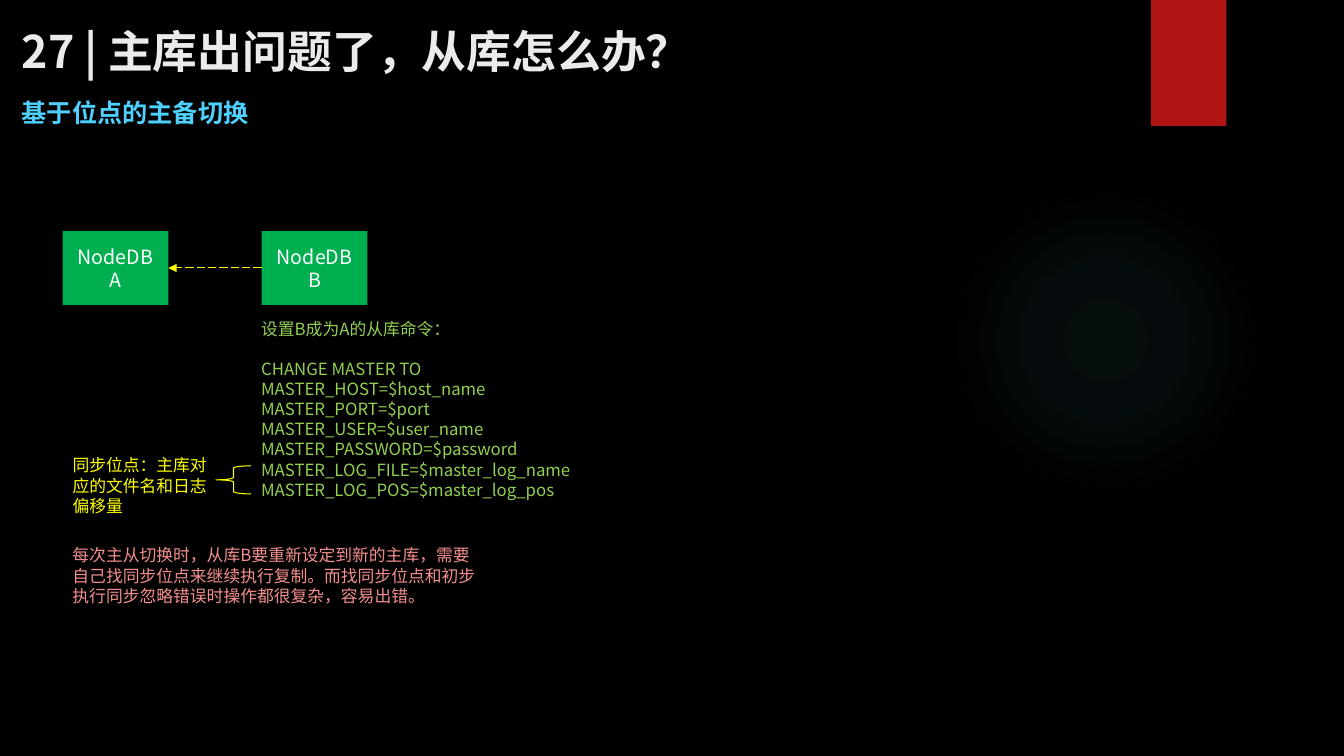
"""Build the slide on switching a replica to a new primary by log position."""
import dataclasses

import pptx
import pptx.dml.color
import pptx.enum.dml
import pptx.enum.shapes
import pptx.enum.text
import pptx.oxml
import pptx.oxml.ns
import pptx.util

SHAPES = pptx.enum.shapes.MSO_SHAPE
ANCHOR = pptx.enum.text.MSO_ANCHOR
ALIGN = pptx.enum.text.PP_ALIGN
COLUMNS, ROWS = 160, 90
SLIDE_WIDTH, SLIDE_HEIGHT = pptx.util.Inches(13.333), pptx.util.Inches(7.5)


@dataclasses.dataclass(frozen=True)
class Theme:
    """Colours, font and type sizes of the slide."""
    background: str = "000000"
    ribbon: str = "B01513"
    glow: str = "50B9C1"
    title: str = "EBEBEB"
    subtitle: str = "4FD1FF"
    server: str = "00B050"
    server_text: str = "FFFFFF"
    command: str = "92D050"
    mark: str = "FFFF00"
    warning: str = "F38F8D"
    font: str = "Noto Sans CJK SC"
    title_size: int = 32
    subtitle_size: int = 18
    server_size: int = 14
    body_size: int = 12
    line_width: float = 0.75


THEME = Theme()


def rgb(code):
    """Return a colour object for a hex code."""
    return pptx.dml.color.RGBColor.from_string(code)


def place(left, top, width, height):
    """Turn grid columns and rows into slide lengths."""
    across, down = SLIDE_WIDTH / COLUMNS, SLIDE_HEIGHT / ROWS
    return [round(n) for n in (left * across, top * down, width * across, height * down)]


def apply(target, values):
    """Set each named value on the target."""
    for name, value in values.items():
        setattr(target, name, value)


def write(box, lines, colour, size, bold=False, align=ALIGN.LEFT, **frame_format):
    """Fill a box with one paragraph per line and return the paragraphs."""
    frame = box.text_frame
    apply(frame, {"word_wrap": True, "vertical_anchor": ANCHOR.TOP, **frame_format})
    for index, line in enumerate(lines):
        para = frame.add_paragraph() if index else frame.paragraphs[0]
        para.alignment = align
        span = para.add_run()
        span.text = line
        span.font.color.rgb = rgb(colour)
        apply(span.font, {"name": THEME.font, "size": pptx.util.Pt(size), "bold": bold})
        east = pptx.oxml.parse_xml(f'<a:ea {pptx.oxml.ns.nsdecls("a")} typeface="{THEME.font}"/>')
        span.font._element.append(east)
    return frame.paragraphs


def add_text(page, area, lines, colour, size, **text_format):
    """Add a text box on the grid."""
    box = page.shapes.add_textbox(*place(*area))
    return write(box, lines, colour, size, **text_format)


def add_block(page, kind, area, fill=None):
    """Add a plain shape without outline or shadow."""
    box = page.shapes.add_shape(kind, *place(*area))
    box.shadow.inherit = False
    box.line.fill.background()
    if fill:
        box.fill.solid()
        box.fill.fore_color.rgb = rgb(fill)
    else:
        box.fill.background()
    return box


def add_glow(page, area, stops):
    """Add a circle that fades out from its centre."""
    box = add_block(page, SHAPES.OVAL, area)
    marks = "".join(
        f'<a:gs pos="{position * 1000}"><a:srgbClr val="{THEME.glow}">'
        f'<a:alpha val="{alpha * 1000}"/></a:srgbClr></a:gs>'
        for position, alpha in stops)
    gradient = pptx.oxml.parse_xml(
        f'<a:gradFill {pptx.oxml.ns.nsdecls("a")}><a:gsLst>{marks}</a:gsLst>'
        '<a:path path="circle"><a:fillToRect l="50000" t="50000" r="50000" b="50000"/>'
        '</a:path></a:gradFill>')
    properties = box._element.spPr
    properties.replace(properties.find(pptx.oxml.ns.qn("a:noFill")), gradient)


def add_server(page, area, label):
    """Add a database server with its name."""
    box = add_block(page, SHAPES.RECTANGLE, area, THEME.server)
    write(box, ["NodeDB", label], THEME.server_text, THEME.server_size,
          align=ALIGN.CENTER, vertical_anchor=ANCHOR.MIDDLE)
    return box


def draw_line(line):
    """Give a line the colour and width of the marks."""
    line.color.rgb = rgb(THEME.mark)
    line.width = pptx.util.Pt(THEME.line_width)


def add_arrow(page, source, target):
    """Join the left side of source to the right side of target."""
    arrow = page.shapes.add_connector(pptx.enum.shapes.MSO_CONNECTOR.STRAIGHT, 0, 0, 0, 0)
    arrow.begin_connect(source, 1)
    arrow.end_connect(target, 3)
    draw_line(arrow.line)
    arrow.line.dash_style = pptx.enum.dml.MSO_LINE.LONG_DASH
    names = pptx.oxml.ns.nsdecls("a")
    arrow.line._get_or_add_ln().append(
        pptx.oxml.parse_xml(f'<a:tailEnd {names} type="triangle"/>'))
    arrow._element.spPr.append(pptx.oxml.parse_xml(f'<a:effectLst {names}/>'))


def main():
    """Build and save the deck."""
    deck = pptx.Presentation()
    apply(deck, {"slide_width": SLIDE_WIDTH, "slide_height": SLIDE_HEIGHT})
    page = deck.slides.add_slide(deck.slide_layouts[6])
    page.background.fill.solid()
    page.background.fill.fore_color.rgb = rgb(THEME.background)

    add_glow(page, (113, 22, 37, 37), [(0, 7), (36, 6), (69, 0)])
    add_block(page, SHAPES.RECTANGLE, (137, 0, 9, 15), THEME.ribbon)
    add_text(page, (1.4, 2, 146.3, 8), ["27 | 主库出问题了，从库怎么办？"], THEME.title,
             THEME.title_size, bold=True, vertical_anchor=ANCHOR.MIDDLE)
    add_text(page, (1.4, 11, 29.6, 4.8), ["基于位点的主备切换"], THEME.subtitle,
             THEME.subtitle_size, bold=True, word_wrap=False)

    primary, replica = [
        add_server(page, (7.45 + 23.7 * index, 27.5, 12.6, 8.8), label)
        for index, label in enumerate("AB")]
    add_arrow(page, replica, primary)

    command = add_text(page, (29.9, 37.3, 51.4, 23), [
        "设置B成为A的从库命令：",
        "CHANGE MASTER TO",
        "MASTER_HOST=$host_name",
        "MASTER_PORT=$port",
        "MASTER_USER=$user_name",
        "MASTER_PASSWORD=$password",
        "MASTER_LOG_FILE=$master_log_name",
        "MASTER_LOG_POS=$master_log_pos",
    ], THEME.command, THEME.body_size)
    command[0].space_after = pptx.util.Pt(14.4)

    brace = add_block(page, SHAPES.LEFT_BRACE, (25.7, 55.45, 4.2, 3.35))
    draw_line(brace.line)
    add_text(page, (7.45, 53.6, 19.8, 8.5), ["同步位点：主库对应的文件名和日志偏移量"],
             THEME.mark, THEME.body_size)
    add_text(page, (7.45, 64.3, 50.6, 8.5), [
        "每次主从切换时，从库B要重新设定到新的主库，需要自己找同步位点来继续执行复制。"
        "而找同步位点和初步执行同步忽略错误时操作都很复杂，容易出错。",
    ], THEME.warning, THEME.body_size)
    deck.save("out.pptx")


if __name__ == "__main__":
    main()
